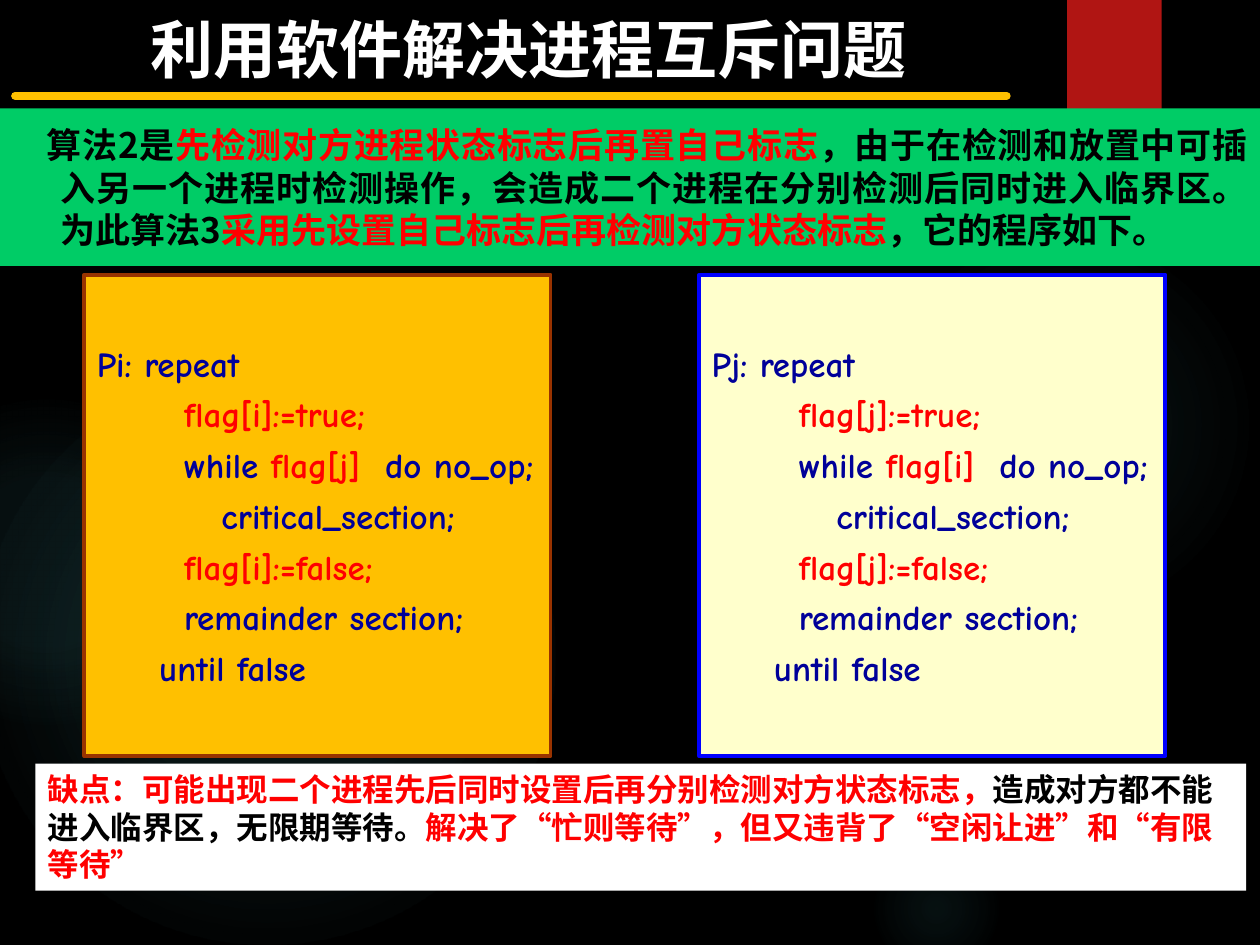
from dataclasses import dataclass
from lxml import etree
from pptx import Presentation
from pptx.dml.color import RGBColor
from pptx.enum.shapes import MSO_CONNECTOR as CONN, MSO_SHAPE as SHAPE
from pptx.enum.text import MSO_ANCHOR as ANCHOR, MSO_AUTO_SIZE as FIT, PP_ALIGN as ALIGN
from pptx.oxml import parse_xml
from pptx.oxml.ns import nsdecls, qn
from pptx.util import Inches, Pt


@dataclass(frozen=True)
class Theme:
    cjk: str = "Noto Sans CJK SC"
    code: str = "Comic Neue"
    title_size: int = 36
    body_size: int = 20
    note_size: int = 18
    black: str = "000000"
    white: str = "FFFFFF"
    red: str = "FF0000"
    navy: str = "000099"
    blue: str = "0000FF"
    brown: str = "993300"
    green: str = "00CC66"
    amber: str = "FFC000"
    cream: str = "FFFFCC"
    ribbon: str = "B01513"
    glow: str = "50B9C1"


def rgb(color):
    return RGBColor.from_string(color)


def write(p, runs, *, size, font, align=ALIGN.LEFT, before=0, leading=None,
          margin=0, indent=0):
    p.alignment = align
    p.space_before = Pt(before)
    if leading:
        p.line_spacing = Pt(leading)
    props = p._p.get_or_add_pPr()
    props.set("marL", str(Inches(margin)))
    props.set("indent", str(Inches(indent)))
    for text, color in runs:
        r = p.add_run()
        r.text = text
        r.font.size = Pt(size)
        r.font.bold = True
        r.font.name = font
        r.font.color.rgb = rgb(color)
        etree.SubElement(r._r.get_or_add_rPr(), qn("a:ea")).set("typeface", font)


class Builder:
    def __init__(self, prs, theme):
        self.theme = theme
        self.s = prs.slides.add_slide(prs.slide_layouts[5])
        fill = self.s.background.fill
        fill.solid()
        fill.fore_color.rgb = rgb(theme.black)

    def title(self, text, x, y, w, h):
        t = self.theme
        sp = self.s.shapes.title
        sp.left, sp.top, sp.width, sp.height = map(Inches, (x, y, w, h))
        tf = sp.text_frame
        tf.auto_size = FIT.NONE
        tf.vertical_anchor = ANCHOR.MIDDLE
        write(tf.paragraphs[0], [(text, t.white)], size=t.title_size,
              font=t.cjk, align=ALIGN.CENTER)

    def shape(self, kind, x, y, w, h, fill=None, line=None):
        sp = self.s.shapes.add_shape(kind, *map(Inches, (x, y, w, h)))
        sp.shadow.inherit = False
        if fill:
            sp.fill.solid()
            sp.fill.fore_color.rgb = rgb(fill)
        if line:
            sp.line.color.rgb = rgb(line)
            sp.line.width = Pt(2.25)
        else:
            sp.line.fill.background()
        return sp

    def glow(self, x, y, size, stops):
        sp = self.shape(SHAPE.OVAL, x, y, size, size)
        marks = "".join(
            f'<a:gs pos="{pos * 1000}"><a:srgbClr val="{self.theme.glow}">'
            f'<a:alpha val="{alpha * 1000}"/></a:srgbClr></a:gs>'
            for pos, alpha in stops)
        grad = parse_xml(
            f'<a:gradFill {nsdecls("a")}><a:gsLst>{marks}</a:gsLst>'
            '<a:path path="circle"><a:fillToRect l="50000" t="50000" '
            'r="50000" b="50000"/></a:path></a:gradFill>')
        sp._element.spPr.find(qn("a:prstGeom")).addnext(grad)

    def rule(self, x1, x2, y):
        sp = self.s.shapes.add_connector(CONN.STRAIGHT, *map(Inches, (x1, y, x2, y)))
        sp.line.color.rgb = rgb(self.theme.amber)
        sp.line.width = Pt(4.5)
        sp.line._get_or_add_ln().set("cap", "rnd")
        etree.SubElement(sp._element.spPr, qn("a:effectLst"))

    def panel(self, x, y, w, h, paragraphs, *, fill, line=None,
              anchor=ANCHOR.MIDDLE, fit=FIT.NONE, gap=0, **style):
        tf = self.shape(SHAPE.RECTANGLE, x, y, w, h, fill, line).text_frame
        tf.word_wrap = True
        tf.auto_size = fit
        tf.vertical_anchor = anchor
        for i, runs in enumerate(paragraphs):
            p = tf.add_paragraph() if i else tf.paragraphs[0]
            write(p, runs, before=gap if i else 0, **style)

    def process(self, x, me, other, fill, line):
        t = self.theme
        step = " " * 7
        lines = [
            [(f"P{me}: repeat", t.navy)],
            [(f"{step}flag[{me}]:=true;", t.red)],
            [(f"{step}while ", t.navy), (f"flag[{other}]", t.red),
             ("  do no_op;", t.navy)],
            [(f"{step}   critical_section;", t.navy)],
            [(f"{step}flag[{me}]:=false;", t.red)],
            [(f"{step}remainder section;", t.navy)],
            [("     until false", t.navy)],
        ]
        self.panel(x, 2.18, 3.7, 3.82, lines, fill=fill, line=line, gap=5,
                   size=t.body_size, font=t.code, margin=0.38, indent=-0.38)


def main():
    prs = Presentation()
    prs.slide_width, prs.slide_height = Inches(10), Inches(7.5)
    t = Theme()
    b = Builder(prs, t)

    for x, y, size, stops in [
        (6.89, 1.83, 3.08, [(0, 7), (36, 6), (69, 0)]),
        (6.89, 6.67, 1.08, [(0, 9), (36, 5), (66, 0)]),
        (-0.17, 2.92, 4.58, [(0, 11), (36, 10), (75, 0)]),
        (-0.92, 3.17, 2.58, [(0, 8), (36, 8), (72, 0)]),
    ]:
        b.glow(x, y, size, stops)
    b.shape(SHAPE.RECTANGLE, 8.47, 0, 0.75, 1.2, t.ribbon)
    b.rule(0.12, 7.99, 0.76)
    b.title("利用软件解决进程互斥问题", 0.01, 0.03, 8.37, 0.71)

    b.panel(0, 0.86, 10, 1.25, [[
        ("算法2是", t.black),
        ("先检测对方进程状态标志后再置自己标志", t.red),
        ("，由于在检测和放置中可插入另一个进程时检测操作，"
         "会造成二个进程在分别检测后同时进入临界区。为此算法3", t.black),
        ("采用先设置自己标志后再检测对方状态标志", t.red),
        ("，它的程序如下。", t.black),
    ]], fill=t.green, size=t.body_size, font=t.cjk, align=ALIGN.JUSTIFY,
        leading=24.3, margin=0.38, indent=-0.11)

    b.process(5.55, "j", "i", t.cream, t.blue)
    b.process(0.67, "i", "j", t.amber, t.brown)

    b.panel(0.28, 6.06, 9.61, 1.01, [[
        ("缺点：可能出现二个进程先后同时设置后再分别检测对方状态标志，", t.red),
        ("造成对方都不能进入临界区，无限期等待。", t.black),
        ("解决了“忙则等待”，但又违背了“空闲让进”和“有限等待”", t.red),
    ]], fill=t.white, anchor=ANCHOR.TOP, fit=FIT.SHAPE_TO_FIT_TEXT,
        size=t.note_size, font=t.cjk, leading=21.6)

    prs.save("out.pptx")


if __name__ == "__main__":
    main()
